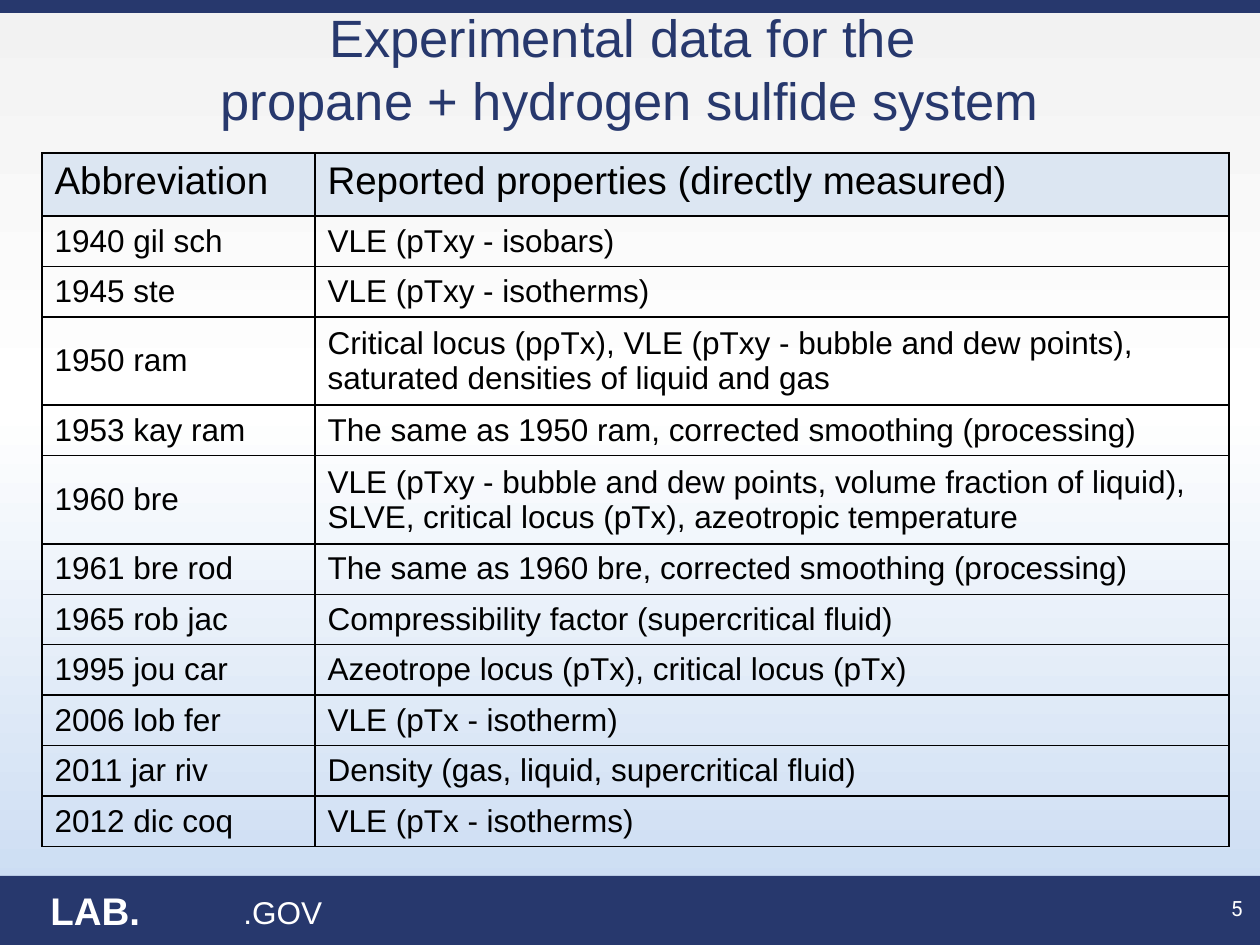
import copy

from lxml import etree
from pptx import Presentation
from pptx import util as u
from pptx.dml.color import RGBColor
from pptx.enum import shapes, text
from pptx.oxml.ns import qn

COLORS = {
    "navy": "27386D",
    "white": "FFFFFF",
    "black": "000000",
    "header": "DCE6F2",
    "top": "F2F2F2",
    "bottom": "C6D9F1",
}
EMU_PER_PX = 914400 / 126
WIDTH, HEIGHT = 1260, 945

ROWS = [
    ("Abbreviation", "Reported properties (directly measured)"),
    ("1940 gil sch", "VLE (pTxy - isobars)"),
    ("1945 ste", "VLE (pTxy - isotherms)"),
    ("1950 ram", "Critical locus (pρTx), VLE (pTxy - bubble and dew points), "
                 "saturated densities of liquid and gas"),
    ("1953 kay ram", "The same as 1950 ram, corrected smoothing (processing)"),
    ("1960 bre", "VLE (pTxy - bubble and dew points, volume fraction of liquid), "
                 "SLVE, critical locus (pTx), azeotropic temperature"),
    ("1961 bre rod", "The same as 1960 bre, corrected smoothing (processing)"),
    ("1965 rob jac", "Compressibility factor (supercritical fluid)"),
    ("1995 jou car", "Azeotrope locus (pTx), critical locus (pTx)"),
    ("2006 lob fer", "VLE (pTx - isotherm)"),
    ("2011 jar riv", "Density (gas, liquid, supercritical fluid)"),
    ("2012 dic coq", "VLE (pTx - isotherms)"),
]
HEADER_HEIGHT, LINE_HEIGHT, DOUBLE_HEIGHT = 63, 48, 83
WRAP_LENGTH = 60


def px(length):
    return u.Emu(round(length * EMU_PER_PX))


def rgb(name):
    return RGBColor.from_string(COLORS[name])


class SlideBuilder:
    def __init__(self, slide, font="Arial"):
        self.slide = slide
        self.font = font

    def background(self, top, middle, bottom, middle_position):
        fill = self.slide.background.fill
        fill.gradient()
        fill.gradient_angle = 270
        stop_list = self.slide._element.find(".//" + qn("a:gsLst"))
        middle_stop = copy.deepcopy(stop_list[0])
        middle_stop.set("pos", str(middle_position * 1000))
        stop_list.insert(1, middle_stop)
        for stop, color in zip(fill.gradient_stops, (top, middle, bottom)):
            stop.color.rgb = rgb(color)

    def format_text(self, frame, size, color, align=text.PP_ALIGN.LEFT,
                    bold=False, font=None):
        for paragraph in frame.paragraphs:
            paragraph.alignment = align
            for run in paragraph.runs:
                run.font.name = font or self.font
                run.font.size = u.Pt(size)
                run.font.bold = bold
                run.font.color.rgb = rgb(color)

    def title(self, content, left, top, width, height, size):
        shape = self.slide.shapes.title
        shape.left, shape.top = px(left), px(top)
        shape.width, shape.height = px(width), px(height)
        frame = shape.text_frame
        frame.text = content
        frame.vertical_anchor = text.MSO_ANCHOR.MIDDLE
        self.format_text(frame, size, "navy", text.PP_ALIGN.CENTER)

    def bar(self, top, height):
        shape = self.slide.shapes.add_shape(
            shapes.MSO_SHAPE.RECTANGLE, 0, px(top), px(WIDTH), px(height))
        shape.shadow.inherit = False
        shape.fill.solid()
        shape.fill.fore_color.rgb = rgb("navy")
        shape.line.fill.background()

    def label(self, content, left, top, width, height, size, wrap=False, **style):
        box = self.slide.shapes.add_textbox(px(left), px(top), px(width), px(height))
        frame = box.text_frame
        frame.text = content
        frame.word_wrap = wrap
        frame.vertical_anchor = text.MSO_ANCHOR.MIDDLE
        self.format_text(frame, size, "white", **style)

    def cell_borders(self, cell, color, points):
        properties = cell._tc.get_or_add_tcPr()
        for index, side in enumerate(("a:lnL", "a:lnR", "a:lnT", "a:lnB")):
            line = etree.Element(qn(side), w=str(u.Pt(points)))
            fill = etree.SubElement(line, qn("a:solidFill"))
            etree.SubElement(fill, qn("a:srgbClr"), val=COLORS[color])
            properties.insert(index, line)

    def table(self, rows, left, top, column_widths, row_heights):
        table = self.slide.shapes.add_table(
            len(rows), len(column_widths), px(left), px(top),
            px(sum(column_widths)), px(sum(row_heights))).table
        table.first_row = table.horz_banding = False
        for column, width in zip(table.columns, column_widths):
            column.width = px(width)
        for index, (row, height) in enumerate(zip(table.rows, row_heights)):
            row.height = px(height)
            for cell, content in zip(row.cells, rows[index]):
                cell.text_frame.text = content
                if index == 0:
                    cell.fill.solid()
                    cell.fill.fore_color.rgb = rgb("header")
                else:
                    cell.fill.background()
                    cell.vertical_anchor = text.MSO_ANCHOR.MIDDLE
                self.format_text(cell.text_frame, 18 if index else 22, "black")
                self.cell_borders(cell, "black", 1)


def main():
    presentation = Presentation()
    presentation.slide_width, presentation.slide_height = px(WIDTH), px(HEIGHT)
    slide = presentation.slides.add_slide(presentation.slide_layouts[5])
    builder = SlideBuilder(slide)
    builder.background("top", "white", "bottom", 43)

    # Footer and top bar
    builder.bar(876, 69)
    builder.label("LAB.", 38, 881, 116, 59, 22, bold=True)
    builder.label(".GOV", 231, 887, 105, 50, 18)
    builder.bar(0, 13)
    builder.label("5", 1144, 883, 111, 50, 12, wrap=True,
                  align=text.PP_ALIGN.RIGHT, font="Roboto")

    # Title
    builder.title("Experimental data for the \vpropane + hydrogen sulfide system",
                  63, 10, 1134, 116, 30)

    # Table of data sources
    heights = [HEADER_HEIGHT] + [
        DOUBLE_HEIGHT if len(properties) > WRAP_LENGTH else LINE_HEIGHT
        for _, properties in ROWS[1:]]
    builder.table(ROWS, 42, 153, (273, 914), heights)

    presentation.save("out.pptx")


if __name__ == "__main__":
    main()
